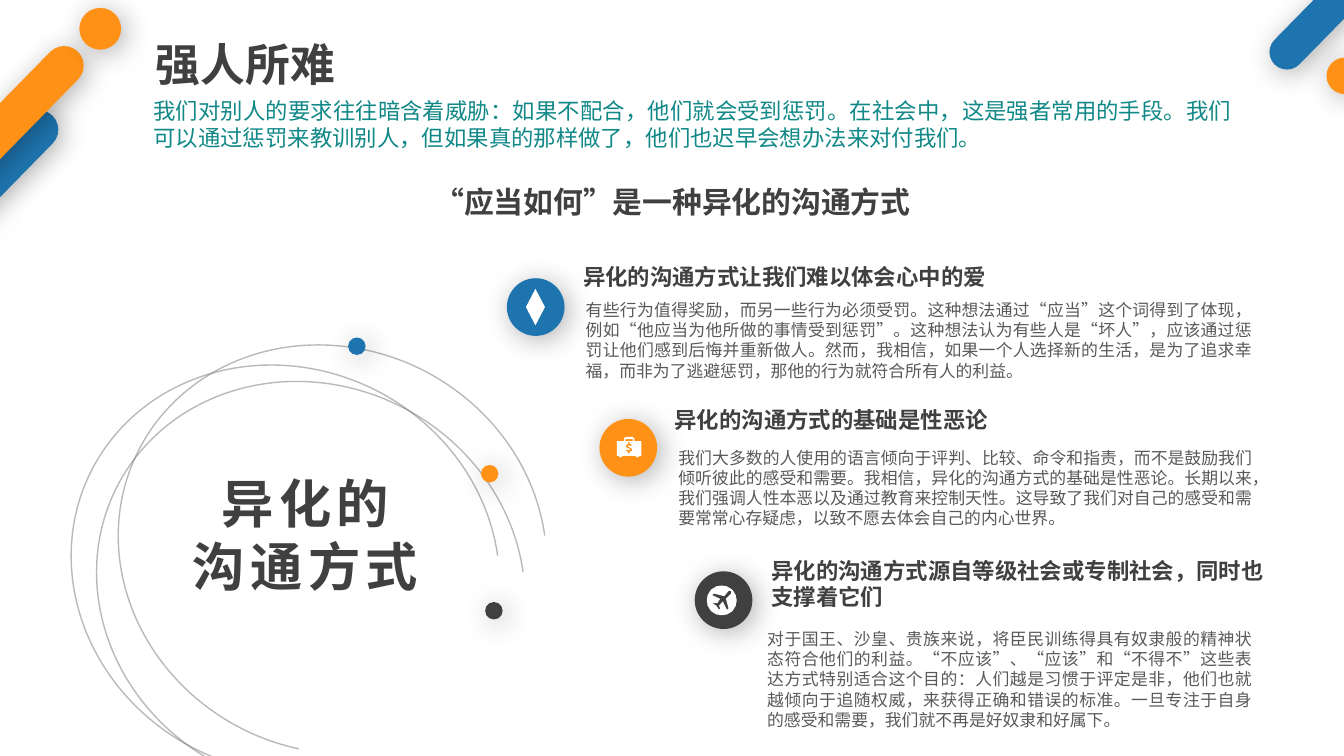
import dataclasses
import math
import typing

import lxml.etree
import pptx
import pptx.dml.color
import pptx.enum.lang
import pptx.enum.shapes
import pptx.enum.text
import pptx.oxml.ns
import pptx.util

Cm = pptx.util.Cm
Kind = pptx.enum.shapes.MSO_SHAPE
Align = pptx.enum.text.PP_ALIGN
Anchor = pptx.enum.text.MSO_ANCHOR
qn = pptx.oxml.ns.qn

BLUE, ORANGE, DARK, WHITE = "1E74AE", "FF9216", "404040", "FFFFFF"
TEAL, GREY, ARC_GREY = "108887", "595959", "7B7C81"
CJK_FONT = "Noto Sans CJK SC"
RIGHT_EDGE = 23.9
BADGE_SIZE = 1.09


class Box(typing.NamedTuple):
    """Left, top, width and height in centimetres."""
    left: float
    top: float
    width: float
    height: float

    def lengths(self) -> list:
        return [Cm(value) for value in self]


class Point(typing.NamedTuple):
    x: float
    y: float


@dataclasses.dataclass
class Style:
    size: float
    font: str
    color: str
    bold: bool = False
    align: Align = Align.LEFT
    anchor: Anchor = Anchor.TOP
    inset: bool = False
    spacing: int = 0


@dataclasses.dataclass
class Section:
    color: str
    badge: Point
    heading_box: Box
    heading: str
    body_at: Point
    body_height: float
    body: str


INTRO = Style(12, "Calibri", TEAL, align=Align.JUSTIFY)
TITLE = Style(24, CJK_FONT, DARK, bold=True, inset=True)
SUBTITLE = Style(16, "Calibri", DARK, bold=True, align=Align.CENTER)
CENTRE = Style(28, CJK_FONT, DARK, bold=True, align=Align.CENTER, anchor=Anchor.BOTTOM, spacing=300)
HEADING = Style(12, "Arial", DARK, bold=True, anchor=Anchor.BOTTOM)
BODY = Style(9, "Arial", GREY, align=Align.JUSTIFY, inset=True)

SECTIONS = [
    Section(BLUE, Point(9.58, 5.26), Box(11.02, 4.75, 10.08, 0.74),
            "异化的沟通方式让我们难以体会心中的爱", Point(10.82, 5.54), 1.8,
            "有些行为值得奖励，而另一些行为必须受罚。这种想法通过“应当”这个词得到了体现，"
            "例如“他应当为他所做的事情受到惩罚”。这种想法认为有些人是“坏人”，应该通过惩罚让他们"
            "感到后悔并重新做人。然而，我相信，如果一个人选择新的生活，是为了追求幸福，"
            "而非为了逃避惩罚，那他的行为就符合所有人的利益。"),
    Section(ORANGE, Point(11.33, 7.92), Box(12.75, 7.44, 8.36, 0.74),
            "异化的沟通方式的基础是性恶论", Point(12.57, 8.33), 1.8,
            "我们大多数的人使用的语言倾向于评判、比较、命令和指责，而不是鼓励我们倾听彼此的感受和需要。"
            "我相信，异化的沟通方式的基础是性恶论。长期以来，我们强调人性本恶以及通过教育来控制天性。"
            "这导致了我们对自己的感受和需要常常心存疑虑，以致不愿去体会自己的内心世界。"),
    Section(DARK, Point(13.13, 10.8), Box(14.58, 10.8, 9.35, 0.74),
            "异化的沟通方式源自等级社会或专制社会，同时也支撑着它们", Point(14.25, 11.76), 2.18,
            "对于国王、沙皇、贵族来说，将臣民训练得具有奴隶般的精神状态符合他们的利益。"
            "“不应该”、“应该”和“不得不”这些表达方式特别适合这个目的：人们越是习惯于评定是非，"
            "他们也就越倾向于追随权威，来获得正确和错误的标准。一旦专注于自身的感受和需要，"
            "我们就不再是好奴隶和好属下。"),
]

# Icon contours in hundredths of a centimetre
BRIEFCASE = [
    [(0, 8), (13, 8), (13, 3), (16, 0), (30, 0), (33, 3), (33, 8), (46, 8), (46, 36),
     (42, 36), (42, 38), (36, 38), (36, 36), (10, 36), (10, 38), (4, 38), (4, 36), (0, 36)],
    [(16, 4), (30, 4), (30, 8), (16, 8)],
    [(21, 10), (24, 10), (24, 13), (28, 14), (27, 17), (22, 16), (21, 18), (28, 22), (29, 26), (24, 28),
     (24, 31), (21, 31), (21, 28), (17, 27), (18, 24), (24, 25), (25, 23), (18, 20), (17, 16), (21, 13)],
]
PLANE = [
    [(28 + 28 * math.cos(math.radians(angle)), 28 + 28 * math.sin(math.radians(angle)))
     for angle in range(0, 360, 6)],
    [(46, 10), (41, 10), (33, 20), (13, 15), (10, 18), (25, 25), (20, 33), (13, 33), (10, 33),
     (18, 38), (23, 46), (25, 43), (23, 38), (30, 30), (38, 46), (41, 43), (36, 25), (46, 15)],
]


def rgb(color: str) -> pptx.dml.color.RGBColor:
    return pptx.dml.color.RGBColor.from_string(color)


def add_alpha(color_element, percent: int) -> None:
    lxml.etree.SubElement(color_element, qn("a:alpha"), val=str(percent * 1000))


def paint(shape, color: str, shadow: bool = False) -> None:
    shape.fill.solid()
    shape.fill.fore_color.rgb = rgb(color)
    shape.line.fill.background()
    shape.shadow.inherit = False
    if shadow:
        effects = shape.element.spPr.find(qn("a:effectLst"))
        outer = lxml.etree.SubElement(
            effects, qn("a:outerShdw"), blurRad=str(pptx.util.Pt(15)), dist=str(pptx.util.Pt(3)),
            dir=str(45 * 60000), algn="ctr", rotWithShape="0")
        add_alpha(lxml.etree.SubElement(outer, qn("a:srgbClr"), val="000000"), 30)


def add_filled(slide, kind: Kind, box: Box, color: str, shadow: bool = True):
    shape = slide.shapes.add_shape(kind, *box.lengths())
    paint(shape, color, shadow)
    return shape


def add_bar(slide, box: Box, color: str) -> None:
    bar = add_filled(slide, Kind.ROUNDED_RECTANGLE, box, color)
    bar.adjustments[0] = 0.5
    bar.rotation = 44.4


def add_dot(slide, at: Point, size: float, color: str) -> None:
    add_filled(slide, Kind.OVAL, Box(*at, size, size), color)


def add_arc(slide, at: Point) -> None:
    arc = slide.shapes.add_shape(Kind.ARC, *Box(*at, 7.59, 8.23).lengths())
    for index, degrees in enumerate((162, 58.66)):
        arc.adjustments[index] = degrees * 0.6
    arc.rotation = 297.6
    arc.fill.background()
    arc.shadow.inherit = False
    arc.line.width = pptx.util.Pt(0.75)
    arc.line.color.rgb = rgb(ARC_GREY)
    add_alpha(arc.element.spPr.find(qn("a:ln")).find(".//" + qn("a:srgbClr")), 53)


def add_icon(slide, at: Point, contours: list) -> None:
    first, *others = contours
    builder = slide.shapes.build_freeform(*first[0], scale=Cm(1) / 100)
    builder.add_line_segments(first[1:], close=True)
    for contour in others:
        builder.move_to(*contour[0])
        builder.add_line_segments(contour[1:], close=True)
    paint(builder.convert_to_shape(Cm(at.x), Cm(at.y)), WHITE)


def write_text(shape, lines: list[str], style: Style) -> None:
    frame = shape.text_frame
    settings = {"word_wrap": True, "vertical_anchor": style.anchor,
                "auto_size": pptx.enum.text.MSO_AUTO_SIZE.NONE}
    if not style.inset:
        settings.update(dict.fromkeys(("margin_left", "margin_top", "margin_right", "margin_bottom"), 0))
    for name, value in settings.items():
        setattr(frame, name, value)
    font_settings = {"size": pptx.util.Pt(style.size), "bold": style.bold, "name": style.font,
                     "language_id": pptx.enum.lang.MSO_LANGUAGE_ID.SIMPLIFIED_CHINESE}
    for index, line in enumerate(lines):
        paragraph = frame.add_paragraph() if index else frame.paragraphs[0]
        paragraph.alignment = style.align
        run = paragraph.add_run()
        run.text = line
        for name, value in font_settings.items():
            setattr(run.font, name, value)
        run.font.color.rgb = rgb(style.color)
        properties = run._r.get_or_add_rPr()
        lxml.etree.SubElement(properties, qn("a:ea"), typeface=CJK_FONT)
        if style.spacing:
            properties.set("spc", str(style.spacing))


def add_text(slide, box: Box, lines: list[str], style: Style) -> None:
    write_text(slide.shapes.add_textbox(*box.lengths()), lines, style)


def add_section(slide, section: Section) -> None:
    add_text(slide, section.heading_box, [section.heading], HEADING)
    body_box = Box(*section.body_at, RIGHT_EDGE - section.body_at.x, section.body_height)
    add_text(slide, body_box, [section.body], BODY)
    add_dot(slide, section.badge, BADGE_SIZE, section.color)


def main() -> None:
    presentation = pptx.Presentation()
    presentation.slide_width, presentation.slide_height = Cm(25.4), Cm(14.29)
    slide = presentation.slides.add_slide(presentation.slide_layouts[5])

    # Corner decoration
    add_bar(slide, Box(-0.89, 1.57, 0.74, 4.32), BLUE)
    add_bar(slide, Box(25.45, -2.92, 0.66, 4.83), BLUE)
    add_dot(slide, Point(25.07, 1.09), 0.69, ORANGE)
    add_bar(slide, Box(-0.41, 0.36, 0.74, 4.32), ORANGE)
    add_dot(slide, Point(1.5, 0.15), 0.79, ORANGE)

    # Title, introduction and subtitle
    title = slide.shapes.title
    title.left, title.top, title.width, title.height = Box(2.69, 0.56, 6.1, 1.27).lengths()
    write_text(title, ["强人所难"], TITLE)
    add_text(slide, Box(2.9, 1.83, 20.4, 1.02),
             ["我们对别人的要求往往暗含着威胁：如果不配合，他们就会受到惩罚。在社会中，这是强者常用的手段。"
              "我们可以通过惩罚来教训别人，但如果真的那样做了，他们也迟早会想办法来对付我们。"], INTRO)
    add_text(slide, Box(7.42, 3.48, 10.59, 0.69), ["“应当如何”是一种异化的沟通方式"], SUBTITLE)

    # Orbits around the central topic
    for at in (Point(1.6, 6.65), Point(2.08, 6.96), Point(2.49, 6.27)):
        add_arc(slide, at)
    for at, color in ((Point(9.09, 8.79), ORANGE), (Point(9.17, 11.38), DARK), (Point(6.58, 6.38), BLUE)):
        add_dot(slide, at, 0.33, color)
    add_text(slide, Box(3.56, 8.46, 4.42, 2.82), ["异化的", "沟通方式"], CENTRE)

    # Three sections with their badges
    for section in SECTIONS:
        add_section(slide, section)
    add_filled(slide, Kind.DIAMOND, Box(9.94, 5.46, 0.36, 0.69), WHITE, shadow=False)
    add_icon(slide, Point(11.66, 8.26), BRIEFCASE)
    add_icon(slide, Point(13.36, 11.07), PLANE)

    presentation.save("out.pptx")


if __name__ == "__main__":
    main()
